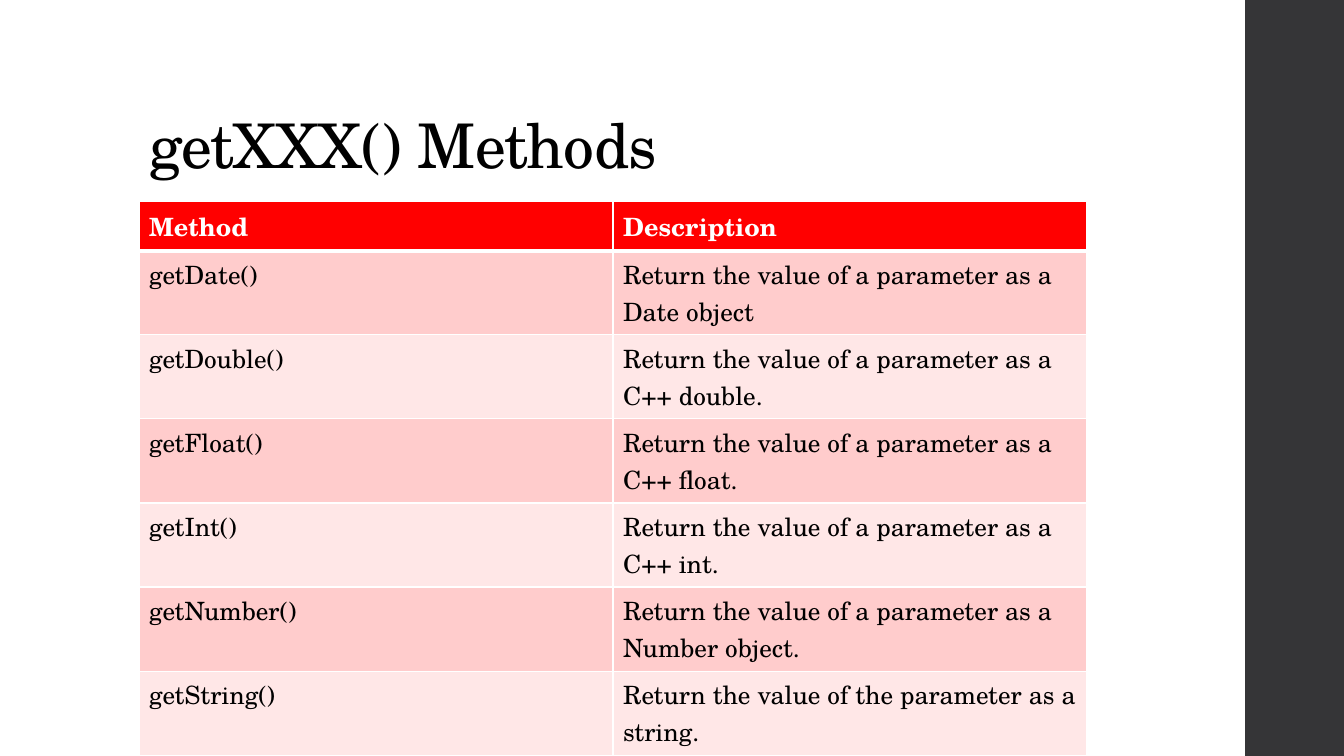
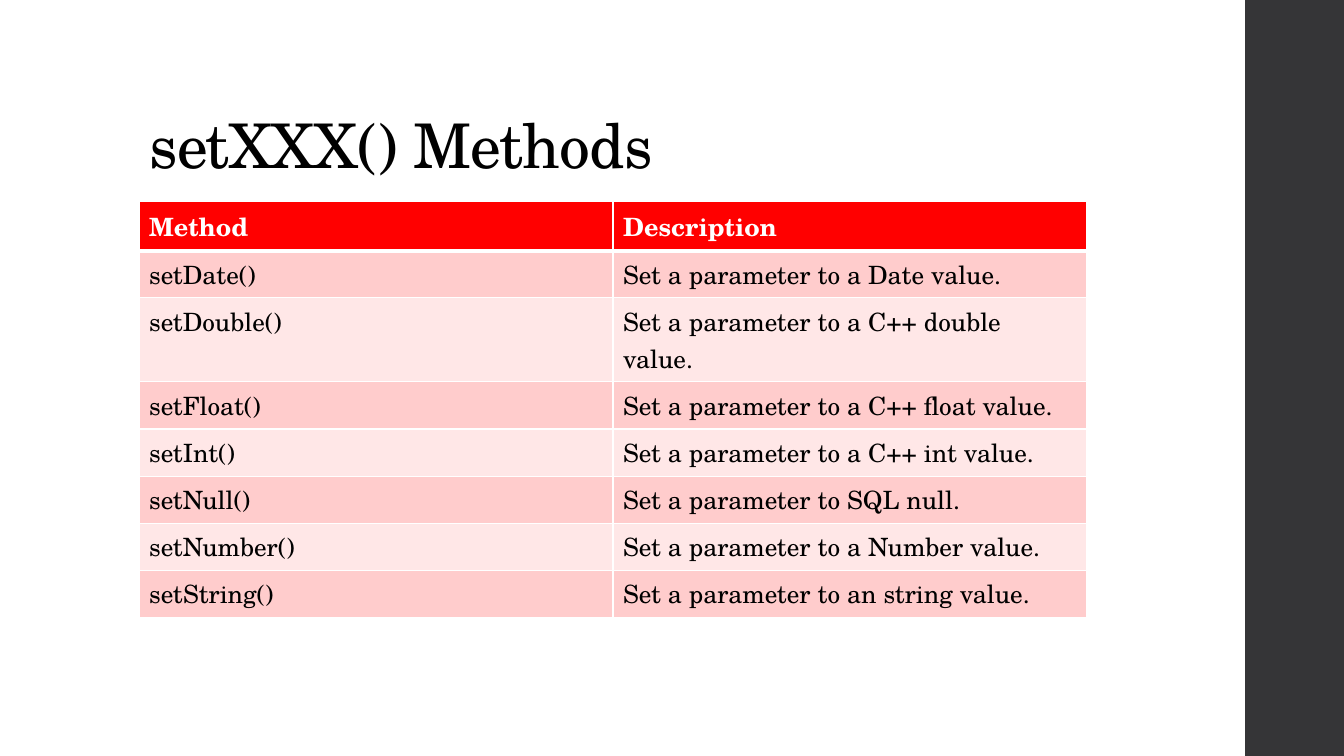
from lxml.etree import SubElement
from pptx import Presentation
from pptx.dml.color import RGBColor
from pptx.enum.shapes import MSO_SHAPE
from pptx.enum.text import MSO_ANCHOR, PP_ALIGN
from pptx.oxml.ns import qn
from pptx.util import Inches, Pt

WHITE = RGBColor(0xFF, 0xFF, 0xFF)
BLACK = RGBColor(0x00, 0x00, 0x00)
DARK = RGBColor(0x35, 0x35, 0x37)
RED = RGBColor(0xFF, 0x00, 0x00)
PINK = RGBColor(0xFF, 0xCC, 0xCC)
PALE = RGBColor(0xFF, 0xE7, 0xE7)

FACE = "TeX Gyre Schola"
TITLE = {"name": FACE, "size": Pt(44), "bold": False}
HEAD = {"name": FACE, "size": Pt(18), "bold": True}
BODY = {"name": FACE, "size": Pt(18), "bold": False}

# Boxes: left, top, width, height in inches
SIDE_BOX = (12.35, 0, 1, 7.5)
TITLE_BOX = (1.38, 0.4, 10.6, 1.45)
GRID_BOX = (1.38, 2, 9.4, 0.41)  # height of one row

HEADS = ("Method", "Description")
GETS = [
    ("getDate()", "Return the value of a parameter as a Date object"),
    ("getDouble()", "Return the value of a parameter as a C++ double."),
    ("getFloat()", "Return the value of a parameter as a C++ float."),
    ("getInt()", "Return the value of a parameter as a C++ int."),
    ("getNumber()", "Return the value of a parameter as a Number object."),
    ("getString()", "Return the value of the parameter as a string."),
]
SETS = [
    ("setDate()", "Set a parameter to a Date value."),
    ("setDouble()", "Set a parameter to a C++ double value."),
    ("setFloat()", "Set a parameter to a C++ float value."),
    ("setInt()", "Set a parameter to a C++ int value."),
    ("setNull()", "Set a parameter to SQL null."),
    ("setNumber()", "Set a parameter to a Number value."),
    ("setString()", "Set a parameter to an string value."),
]


def style(font, look, color):
    for name, value in look.items():
        setattr(font, name, value)
    font.color.rgb = color


def add_band(slide, box):
    """Dark band at the right edge."""
    band = slide.shapes.add_shape(MSO_SHAPE.RECTANGLE, *map(Inches, box))
    band.shadow.inherit = False
    band.fill.solid()
    band.fill.fore_color.rgb = DARK
    band.line.fill.background()


def add_title(slide, box, text):
    """Title set at the bottom left of its box."""
    title = slide.shapes.title
    title.left, title.top, title.width, title.height = map(Inches, box)
    frame = title.text_frame
    frame.vertical_anchor = MSO_ANCHOR.BOTTOM
    frame.word_wrap = True
    para = frame.paragraphs[0]
    para.alignment = PP_ALIGN.LEFT
    para.line_spacing = 0.9
    run = para.add_run()
    run.text = text
    style(run.font, TITLE, BLACK)
    run.font._element.set("spc", "-50")


def add_rules(cell, row):
    """White cell borders, heavier under the header row."""
    props = cell._tc.get_or_add_tcPr()
    for side in "LRTB":
        heavy = (row, side) in ((0, "B"), (1, "T"))
        line = SubElement(props, qn("a:ln" + side), w=str(Pt(3 if heavy else 1)))
        fill = SubElement(line, qn("a:solidFill"))
        SubElement(fill, qn("a:srgbClr"), val=str(WHITE))


def add_grid(slide, box, rows):
    """Table with a red header and two alternating row tints."""
    left, top, width, step = map(Inches, box)
    lines = [HEADS, *rows]
    table = slide.shapes.add_table(
        len(lines), len(HEADS), left, top, width, step * len(lines)).table
    table.horz_banding = False
    for r, line in enumerate(lines):
        tint = RED if r == 0 else (PALE, PINK)[r % 2]
        look, ink = (BODY, BLACK) if r else (HEAD, WHITE)
        for c, text in enumerate(line):
            cell = table.cell(r, c)
            add_rules(cell, r)
            cell.fill.solid()
            cell.fill.fore_color.rgb = tint
            run = cell.text_frame.paragraphs[0].add_run()
            run.text = text
            style(run.font, look, ink)


def add_page(deck, text, rows):
    slide = deck.slides.add_slide(deck.slide_layouts.get_by_name("Title Only"))
    add_band(slide, SIDE_BOX)
    add_title(slide, TITLE_BOX, text)
    add_grid(slide, GRID_BOX, rows)


def main():
    deck = Presentation()
    deck.slide_width, deck.slide_height = Inches(13.33), Inches(7.5)
    add_page(deck, "getXXX() Methods", GETS)
    add_page(deck, "setXXX() Methods", SETS)
    deck.save("out.pptx")


if __name__ == "__main__":
    main()
